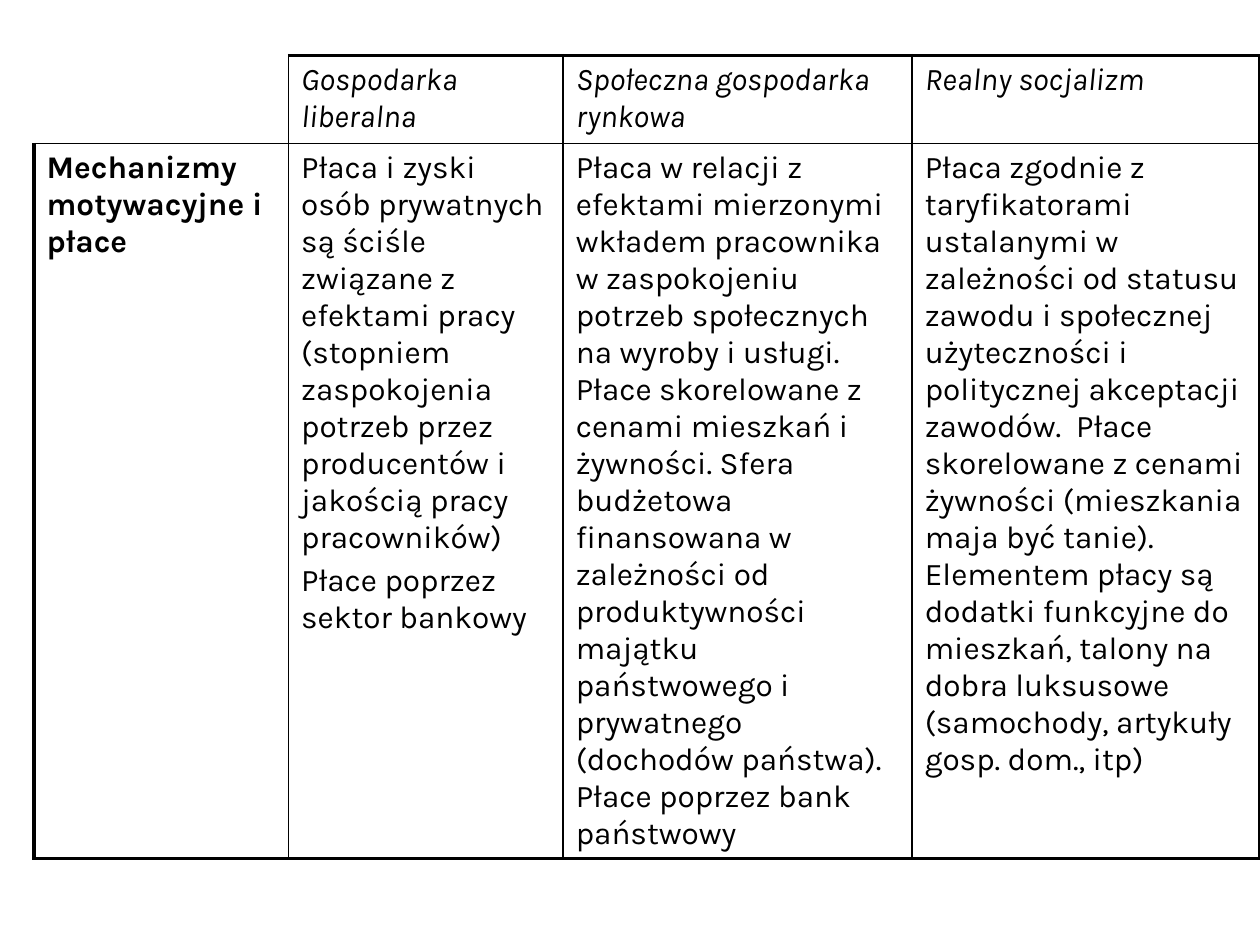
from dataclasses import dataclass

import lxml.etree
import pptx
import pptx.dml.color
import pptx.oxml.ns
import pptx.table
import pptx.util
from pptx.util import Inches, Pt

BLACK = pptx.dml.color.RGBColor(0x00, 0x00, 0x00)
FONT = "Karla"
THIN, THICK = 1, 2.25
COLUMN_WIDTHS = [2.02, 2.18, 2.77, 2.76]
ROW_HEIGHTS = [0.7, 5.5]


@dataclass(frozen=True)
class CellContent:
    paragraphs: tuple[str, ...] = ()
    bold: bool = False
    italic: bool = False


ROWS = [
    [
        CellContent(),
        CellContent(("Gospodarka liberalna",), italic=True),
        CellContent(("Społeczna gospodarka rynkowa",), italic=True),
        CellContent(("Realny socjalizm",), italic=True),
    ],
    [
        CellContent(("Mechanizmy motywacyjne i płace",), bold=True),
        CellContent((
            "Płaca i zyski osób prywatnych są ściśle związane z efektami pracy "
            "(stopniem zaspokojenia potrzeb przez producentów i jakością pracy "
            "pracowników)",
            "Płace poprzez sektor bankowy",
        )),
        CellContent((
            "Płaca w relacji z efektami mierzonymi wkładem pracownika w "
            "zaspokojeniu potrzeb społecznych na wyroby i usługi. Płace "
            "skorelowane z cenami mieszkań i żywności. Sfera budżetowa "
            "finansowana w zależności od produktywności majątku państwowego i "
            "prywatnego (dochodów państwa). Płace poprzez bank państwowy",
        )),
        CellContent((
            "Płaca zgodnie z taryfikatorami ustalanymi w zależności od statusu "
            "zawodu i społecznej użyteczności i politycznej akceptacji "
            "zawodów.  Płace skorelowane z cenami żywności (mieszkania maja "
            "być tanie). Elementem płacy są dodatki funkcyjne do mieszkań, "
            "talony na dobra luksusowe (samochody, artykuły gosp. dom., itp)",
        )),
    ],
]


def write_text(cell: pptx.table._Cell, paragraphs: tuple[str, ...], *,
               size: float = 18, bold: bool = False, italic: bool = False) -> None:
    frame = cell.text_frame
    for index, text in enumerate(paragraphs):
        paragraph = frame.add_paragraph() if index else frame.paragraphs[0]
        if index:
            paragraph.space_before = Pt(0.2 * size)
        run = paragraph.add_run()
        run.text = text
        font = run.font
        font.name, font.size = FONT, Pt(size)
        font.bold, font.italic = bold, italic
        font.color.rgb = BLACK


def border_widths(row: int, column: int) -> dict[str, float]:
    """Thick outside, thin inside, and an open top left corner; 0 is no line."""
    corner = row == 0 and column == 0
    last_row, last_column = len(ROWS) - 1, len(COLUMN_WIDTHS) - 1
    return {
        "lnL": 0 if corner else THICK if column == 0 else THIN,
        "lnR": THICK if column == last_column else THIN,
        "lnT": 0 if corner else THICK if row == 0 else THIN,
        "lnB": THICK if row == last_row else THIN,
    }


def draw_borders(cell: pptx.table._Cell, widths: dict[str, float]) -> None:
    qn = pptx.oxml.ns.qn
    properties = cell._tc.get_or_add_tcPr()
    for index, (side, width) in enumerate(widths.items()):
        line = lxml.etree.Element(qn(f"a:{side}"), w=str(int(Pt(width))))
        if width:
            fill = lxml.etree.SubElement(line, qn("a:solidFill"))
            lxml.etree.SubElement(fill, qn("a:srgbClr"), val=str(BLACK))
        else:
            lxml.etree.SubElement(line, qn("a:noFill"))
        properties.insert(index, line)


def main() -> None:
    presentation = pptx.Presentation()
    presentation.slide_width, presentation.slide_height = Inches(10), Inches(7.5)
    slide = presentation.slides.add_slide(presentation.slide_layouts[6])
    table = slide.shapes.add_table(
        len(ROWS), len(COLUMN_WIDTHS), Inches(0.27), Inches(0.44),
        Inches(sum(COLUMN_WIDTHS)), Inches(sum(ROW_HEIGHTS))).table
    table.first_row = table.horz_banding = False
    for column, width in zip(table.columns, COLUMN_WIDTHS):
        column.width = Inches(width)
    for row, height in zip(table.rows, ROW_HEIGHTS):
        row.height = Inches(height)

    for row_index, contents in enumerate(ROWS):
        for column_index, content in enumerate(contents):
            cell = table.cell(row_index, column_index)
            cell.fill.background()
            draw_borders(cell, border_widths(row_index, column_index))
            write_text(cell, content.paragraphs,
                       bold=content.bold, italic=content.italic)

    presentation.save("out.pptx")


if __name__ == "__main__":
    main()
